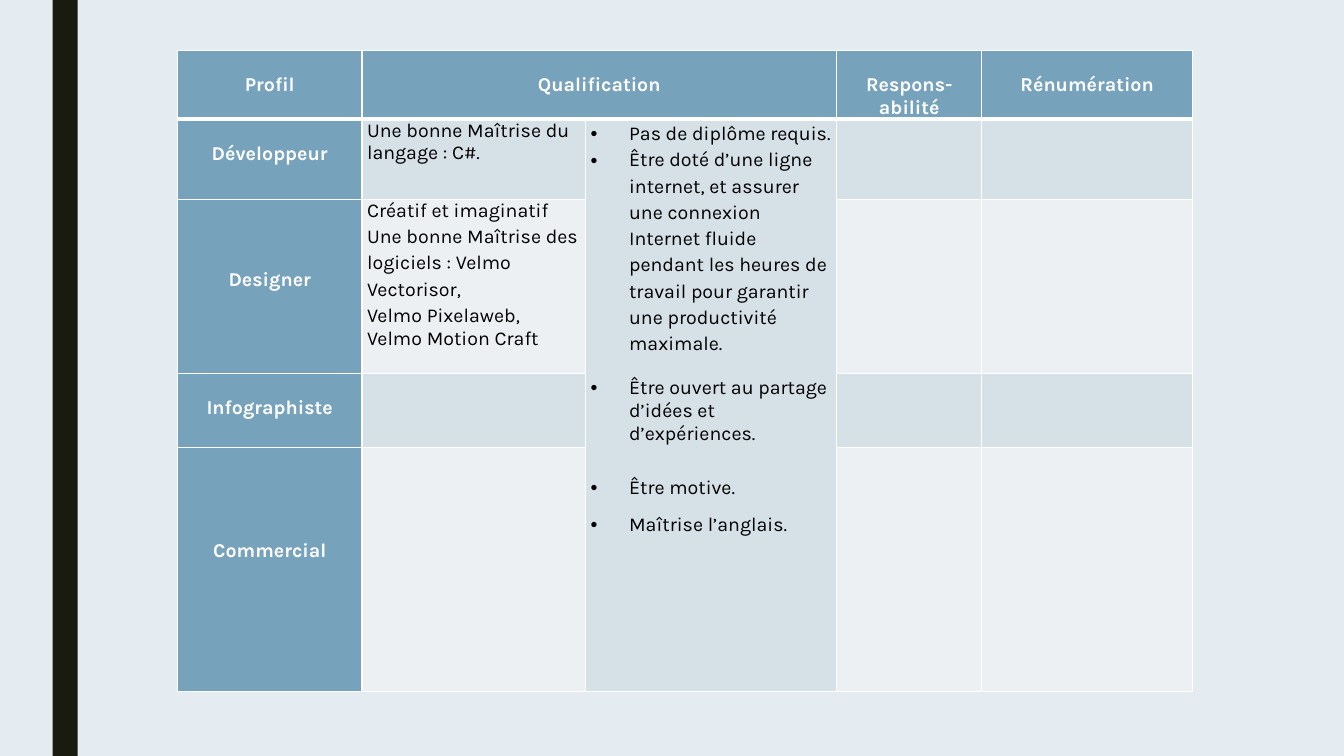
from dataclasses import dataclass

from lxml.etree import SubElement
from pptx import Presentation
from pptx.dml.color import RGBColor
from pptx.enum.shapes import MSO_SHAPE
from pptx.enum.text import PP_ALIGN
from pptx.oxml.ns import qn
from pptx.util import Pt


@dataclass(frozen=True)
class Theme:
    background: str = "E4ECF1"
    bar: str = "191B0E"
    heading: str = "77A2BB"
    bands: tuple = ("D6E0E7", "ECF0F3")
    light: str = "FFFFFF"
    dark: str = "000000"
    font: str = "Karla"
    size: float = 14
    line_height: float = 16.4
    thin: float = 1
    thick: float = 3


THEME = Theme()
COLUMN_WIDTHS = (131.8, 159.8, 179.3, 103.7, 150.5)
ROW_HEIGHTS = (48.7, 57.3, 124.4, 53, 174.4)
LOOSE = {"line_spacing": 1.15}
SPACED = {"space_before": Pt(15), "space_after": Pt(7.5)}

HEADINGS = {0: "Profil", 1: "Qualification", 3: "Respons-abilité", 4: "Rénumération"}
# Each profile with the number of lines its name sits below the top of its row
PROFILES = (("Développeur", 1), ("Designer", 3), ("Infographiste", 1), ("Commercial", 4))
SKILLS = {
    1: [("Une bonne Maîtrise du langage : C#.", {})],
    2: [
        ("Créatif et imaginatif", {}),
        ("Une bonne Maîtrise des logiciels : Velmo Vectorisor,", LOOSE),
        ("Velmo Pixelaweb,", LOOSE),
        ("Velmo Motion Craft", {}),
    ],
}
SHARED_REQUIREMENTS = [
    ("Pas de diplôme requis.", LOOSE),
    ("Être doté d’une ligne internet, et assurer une connexion Internet fluide "
     "pendant les heures de travail pour garantir une productivité maximale.", LOOSE),
    ("Être ouvert au partage d’idées et d’expériences.", SPACED),
    ("Être motive.", SPACED),
    ("Maîtrise l’anglais.", LOOSE),
]


def color(value):
    return RGBColor.from_string(value)


def apply_format(target, values):
    for name, value in values.items():
        setattr(target, name, value)


def add_bullet(paragraph):
    properties = paragraph._p.get_or_add_pPr()
    properties.set("marL", str(Pt(27.4)))
    properties.set("indent", str(Pt(-27.4)))
    SubElement(properties, qn("a:buFont"), typeface="Arial")
    SubElement(properties, qn("a:buChar"), char="•")


def style_cell(cell, fill, top=THEME.thin, bottom=THEME.thin):
    """Set borders before the fill, as the schema orders them."""
    properties = cell._tc.get_or_add_tcPr()
    widths = {"lnL": THEME.thin, "lnR": THEME.thin, "lnT": top, "lnB": bottom}
    for side, width in widths.items():
        border = SubElement(properties, qn(f"a:{side}"), w=str(Pt(width)))
        border_fill = SubElement(border, qn("a:solidFill"))
        SubElement(border_fill, qn("a:srgbClr"), val=THEME.light)
    cell.fill.solid()
    cell.fill.fore_color.rgb = color(fill)
    apply_format(cell, {"margin_left": Pt(3.6), "margin_right": Pt(3.6),
                        "margin_top": 0, "margin_bottom": 0})


def write_cell(cell, entries, ink=THEME.dark, bold=False, align=PP_ALIGN.LEFT, bullets=False):
    frame = cell.text_frame
    for index, (text, spacing) in enumerate(entries):
        paragraph = frame.add_paragraph() if index else frame.paragraphs[0]
        apply_format(paragraph, {"alignment": align, **spacing})
        if bullets:
            add_bullet(paragraph)
        run = paragraph.add_run()
        run.text = text
        apply_format(run.font, {"name": THEME.font, "size": Pt(THEME.size), "bold": bold})
        run.font.color.rgb = color(ink)


def write_heading(cell, text, lines_down):
    cell.margin_top = Pt(THEME.line_height * lines_down)
    write_cell(cell, [(text, {})], THEME.light, True, PP_ALIGN.CENTER)


def style_grid(table):
    last_row = len(ROW_HEIGHTS) - 1
    for row in range(last_row + 1):
        for column in range(len(COLUMN_WIDTHS)):
            if row == 0 or column == 0:
                fill = THEME.heading
            elif column == 2:
                fill = THEME.bands[0]
            else:
                fill = THEME.bands[(row - 1) % 2]
            style_cell(table.cell(row, column), fill,
                       top=THEME.thick if row == 1 else THEME.thin,
                       bottom=THEME.thick if row == 0 else THEME.thin)
    table.cell(0, 1).merge(table.cell(0, 2))
    table.cell(1, 2).merge(table.cell(last_row, 2))


def add_profile_table(slide, left, top):
    table = slide.shapes.add_table(
        len(ROW_HEIGHTS), len(COLUMN_WIDTHS), Pt(left), Pt(top),
        Pt(sum(COLUMN_WIDTHS)), Pt(sum(ROW_HEIGHTS))).table
    apply_format(table, {"first_row": False, "horz_banding": False})
    for column, width in zip(table.columns, COLUMN_WIDTHS):
        column.width = Pt(width)
    for row, height in zip(table.rows, ROW_HEIGHTS):
        row.height = Pt(height)
    style_grid(table)

    for column, heading in HEADINGS.items():
        write_heading(table.cell(0, column), heading, 1)
    for row, (profile, lines_down) in enumerate(PROFILES, start=1):
        write_heading(table.cell(row, 0), profile, lines_down)
    for row, skills in SKILLS.items():
        write_cell(table.cell(row, 1), skills)
    write_cell(table.cell(1, 2), SHARED_REQUIREMENTS, bullets=True)


def add_side_bar(slide, left, top, width, height):
    bar = slide.shapes.add_shape(MSO_SHAPE.RECTANGLE, Pt(left), Pt(top), Pt(width), Pt(height))
    bar.shadow.inherit = False
    bar.fill.solid()
    bar.fill.fore_color.rgb = color(THEME.bar)
    bar.line.fill.background()


def main():
    presentation = Presentation()
    apply_format(presentation, {"slide_width": Pt(960), "slide_height": Pt(540)})
    slide = presentation.slides.add_slide(presentation.slide_layouts[6])
    slide.background.fill.solid()
    slide.background.fill.fore_color.rgb = color(THEME.background)
    add_side_bar(slide, 37.5, 0, 18, 540)
    add_profile_table(slide, 126.8, 36)
    presentation.save("out.pptx")


if __name__ == "__main__":
    main()
